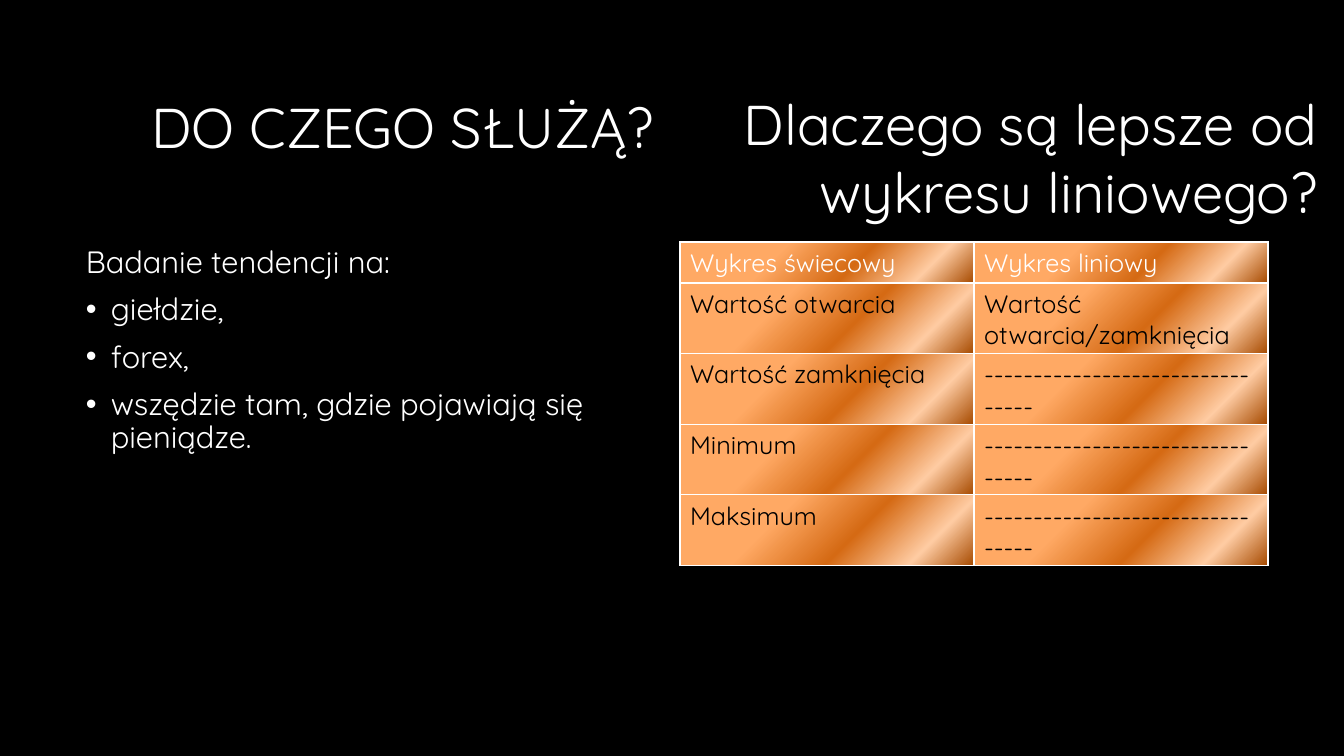
from lxml.etree import SubElement
from pptx import Presentation
from pptx.dml.color import RGBColor
from pptx.enum.text import MSO_ANCHOR as ANCHOR, PP_ALIGN as ALIGN
from pptx.oxml.ns import qn
from pptx.util import Emu, Pt

COLORS = {"black": "000000", "white": "FFFFFF", "light": "FFA964",
          "orange": "D56A14", "peach": "FFCCA3", "brown": "A74B01"}
COPPER = [(33, "light"), (59, "orange"), (82, "peach"), (100, "brown")]
INDENT = 25


def px(n):
    return Emu(round(n * 914400 / 100.8))


def add_run(p, text, size, color):
    r = p.add_run()
    r.text = text
    r.font.name = "Quicksand"
    r.font.size = Pt(size)
    r.font.bold = False
    r.font.color.rgb = RGBColor.from_string(COLORS[color])


prs = Presentation()
prs.slide_width, prs.slide_height = px(1344), px(756)
s = prs.slides.add_slide(prs.slide_layouts[6])
s.background.fill.solid()
s.background.fill.fore_color.rgb = RGBColor.from_string(COLORS["black"])

# Headings
for text, box, anchor, spacing in [
    ("DO CZEGO SŁUŻĄ?", (76, 59, 588, 142), ANCHOR.MIDDLE, 0.9),
    ("Dlaczego są lepsze od wykresu liniowego?", (663, 85, 664, 146), ANCHOR.TOP, 1.0),
]:
    tf = s.shapes.add_textbox(*map(px, box)).text_frame
    tf.word_wrap = True
    tf.vertical_anchor = anchor
    p = tf.paragraphs[0]
    p.alignment = ALIGN.RIGHT
    p.line_spacing = spacing
    add_run(p, text, 40, "white")

# Uses, with a lead-in line above the bullets
tf = s.shapes.add_textbox(px(76), px(242), px(588), px(444)).text_frame
tf.word_wrap = True
uses = ["Badanie tendencji na:", "giełdzie,", "forex,",
        "wszędzie tam, gdzie pojawiają się pieniądze."]
for i, text in enumerate(uses):
    p = tf.add_paragraph() if i else tf.paragraphs[0]
    p.line_spacing = 0.9
    p.space_before = Pt(10)
    add_run(p, text, 22, "white")
    if i:
        pPr = p._p.get_or_add_pPr()
        pPr.set("marL", str(px(INDENT)))
        pPr.set("indent", str(-px(INDENT)))
        SubElement(pPr, qn("a:buFont"), typeface="Arial")
        SubElement(pPr, qn("a:buChar"), char="•")

# Comparison table
DASHES = "-" * 32
rows = [("Wykres świecowy", "Wykres liniowy"),
        ("Wartość otwarcia", "Wartość otwarcia/zamknięcia"),
        ("Wartość zamknięcia", DASHES),
        ("Minimum", DASHES),
        ("Maksimum", DASHES)]
table = s.shapes.add_table(len(rows), 2, px(680), px(242), px(588), px(205)).table
for row in table.rows:
    row.height = px(41)
for i, row in enumerate(rows):
    for j, text in enumerate(row):
        cell = table.cell(i, j)
        add_run(cell.text_frame.paragraphs[0], text, 18, "black" if i else "white")
        tcPr = cell._tc.get_or_add_tcPr()
        # White borders
        for side in "LRTB":
            ln = SubElement(tcPr, qn(f"a:ln{side}"), w=str(Pt(1)))
            SubElement(SubElement(ln, qn("a:solidFill")), qn("a:srgbClr"),
                       val=COLORS["white"])
        # Copper gradient
        grad = SubElement(tcPr, qn("a:gradFill"), rotWithShape="1")
        stops = SubElement(grad, qn("a:gsLst"))
        for pos, color in COPPER:
            stop = SubElement(stops, qn("a:gs"), pos=str(pos * 1000))
            SubElement(stop, qn("a:srgbClr"), val=COLORS[color])
        SubElement(grad, qn("a:lin"), ang=str(45 * 60000), scaled="0")

prs.save("out.pptx")
